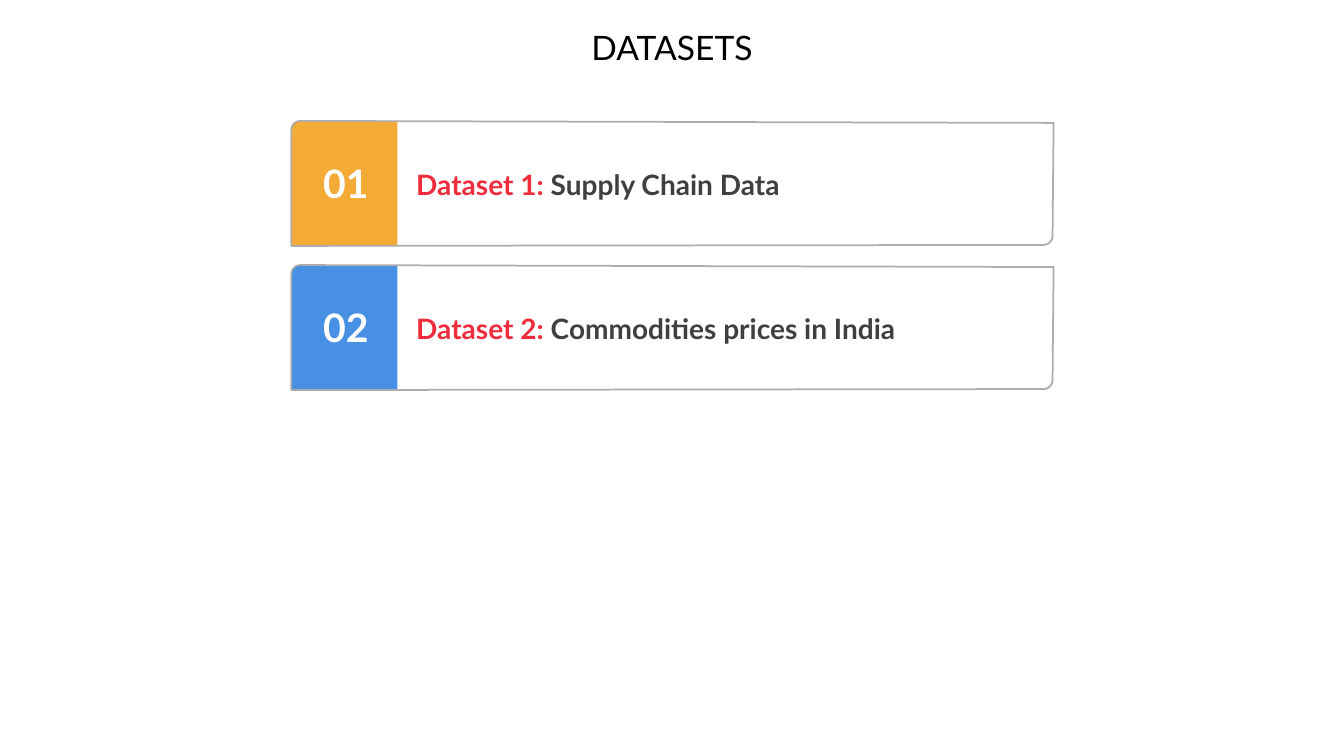
from math import cos, radians, sin

from pptx import Presentation
from pptx.dml.color import RGBColor
from pptx.enum.text import MSO_ANCHOR, PP_ALIGN
from pptx.util import Inches, Pt

CENTER, LEFT = PP_ALIGN.CENTER, PP_ALIGN.LEFT
TOP, MIDDLE = MSO_ANCHOR.TOP, MSO_ANCHOR.MIDDLE
COLORS = {
    "black": "000000", "white": "FFFFFF", "gray": "3F3F3F", "red": "EE2C3C",
    "outline": "AEABAB", "orange": "F4AB35", "blue": "4890E4",
}
RADIUS = 0.09
CARD_LEFT, FIRST_TOP, PITCH = 2.89, 1.2, 1.43

deck = Presentation()
deck.slide_width, deck.slide_height = Inches(13.33), Inches(7.5)
page = deck.slides.add_slide(deck.slide_layouts[6])


def add_text(left, top, width, height, spans, size, bold, align, anchor, spacing=1.0):
    """Add a one-paragraph box from (text, color name) spans."""
    box = page.shapes.add_textbox(Inches(left), Inches(top), Inches(width), Inches(height))
    box.text_frame.word_wrap = True
    box.text_frame.vertical_anchor = anchor
    para = box.text_frame.paragraphs[0]
    para.alignment = align
    para.line_spacing = spacing
    for text, color in spans:
        span = para.add_run()
        span.text = text
        for name, value in {"name": "Lato", "size": Pt(size), "bold": bold}.items():
            setattr(span.font, name, value)
        span.font.color.rgb = RGBColor.from_string(COLORS[color])


def add_outline(top, points):
    """Add a closed shape from points in inches, relative to the card corner."""
    corners = [(Inches(CARD_LEFT + x), Inches(top + y)) for x, y in points]
    builder = page.shapes.build_freeform(*corners[0])
    builder.add_line_segments(corners[1:], close=True)
    shape = builder.convert_to_shape()
    shape.shadow.inherit = False
    return shape


# Quarter circle from the left side up to the top side
arc = [(RADIUS * (1 - cos(radians(a))), RADIUS * (1 - sin(radians(a))))
       for a in range(0, 91, 10)]
tile_points = arc + [(1.05, 0), (1.05, 1.24), (0, 1.24)]
# The lower right corner is the same quarter circle turned half way round
frame_points = (arc + [(7.56, 0.02)]
                + [(7.55 - x, 1.23 - y) for x, y in arc] + [(0, 1.24)])

datasets = [
    ("01", "orange", "Dataset 1: ", "Supply Chain Data"),
    ("02", "blue", "Dataset 2: ", "Commodities prices in India"),
]
for row, (number, color, label, description) in enumerate(datasets):
    top = FIRST_TOP + row * PITCH
    tile = add_outline(top, tile_points)
    tile.fill.solid()
    tile.fill.fore_color.rgb = RGBColor.from_string(COLORS[color])
    tile.line.fill.background()

    frame = add_outline(top, frame_points)
    frame.fill.background()
    frame.line.color.rgb = RGBColor.from_string(COLORS["outline"])
    frame.line.width = Pt(1.25)

    add_text(2.9, top + 0.33, 1.06, 0.57, [(number, "white")], 28, True, CENTER, MIDDLE)
    add_text(4.03, top + 0.24, 6.25, 0.75, [(label, "red"), (description, "gray")],
             20, True, LEFT, MIDDLE, 1.07)

add_text(2.53, 0.22, 8.27, 0.57, [("DATASETS", "black")], 24, False, CENTER, TOP)

deck.save("out.pptx")
